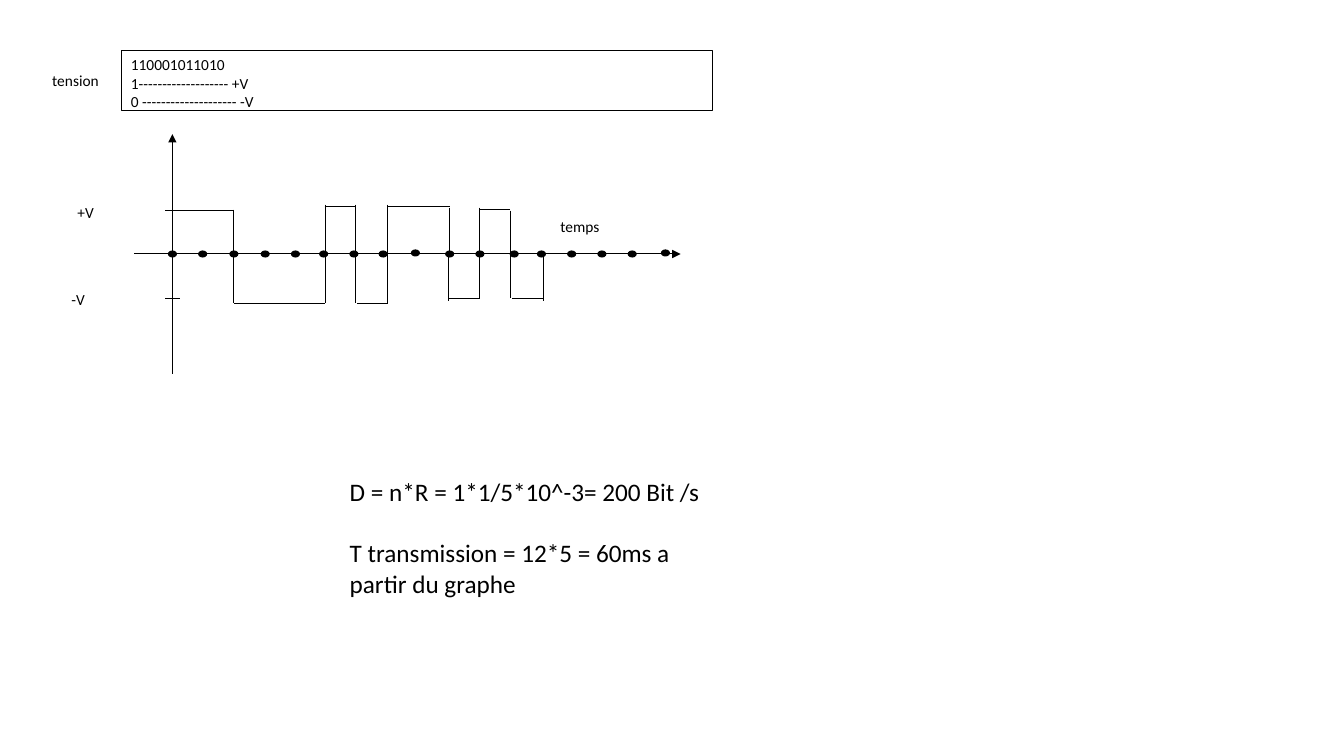
from lxml.etree import SubElement
from pptx import Presentation
from pptx.dml.color import RGBColor
from pptx.enum.shapes import MSO_CONNECTOR as Connector, MSO_SHAPE as Shape
from pptx.enum.text import MSO_ANCHOR as Anchor, PP_ALIGN as Align
from pptx.oxml.ns import qn
from pptx.util import Emu, Pt

PX = 9144  # 100 px to the inch
BLACK, WHITE = "000000", "FFFFFF"
FONT = "Calibri"

CODING = ["110001011010", "1------------------- +V", "0 -------------------- -V"]
RESULTS = ["D = n*R = 1*1/5*10^-3= 200 Bit /s",
           "T transmission = 12*5 = 60ms a partir du graphe"]
# text, left, top, width, height
LABELS = [
    ("-V", 61, 283, 62, 38),
    ("+V", 67, 197, 62, 38),
    ("tension", 42, 66, 77, 31),
    ("temps", 546, 210, 61, 25),
]

# Axes: x1, y1, x2, y2
AXES = [(171, 371, 171, 133), (133, 252, 675, 252)]
TICK_LEFT, TICK_RIGHT = 164, 179
TICK_LEVELS = [209, 296]

# Clock marks: left edges along the time axis
DOT_WIDTH, DOT_HEIGHT, DOT_TOP = 8, 6, 249
DOTS = [167, 197, 228, 259, 289, 317, 347, 376, 408, 442, 472, 506, 533,
        563, 593, 623, 656]
RAISED_DOTS = {408, 656}

# Signal: levels as (y, x1, x2), edges as (x, y1, y2)
LEVELS = [
    (209, 172, 202), (209, 202, 232),
    (301, 232, 263), (301, 262, 292), (301, 292, 322),
    (205, 322, 353), (301, 354, 385),
    (205, 385, 416), (205, 416, 446),
    (296, 445, 476), (208, 476, 506), (296, 508, 539),
]
EDGES = [
    (232, 208, 301), (323, 203, 301), (353, 203, 301), (384, 203, 301),
    (446, 206, 250), (445, 255, 299), (476, 206, 296), (506, 209, 296),
    (539, 253, 299),
]


def color(value):
    return RGBColor.from_string(value)


def px(*lengths):
    return [Emu(length * PX) for length in lengths]


def add_line(x1, y1, x2, y2, arrow=False):
    line = page.shapes.add_connector(Connector.STRAIGHT, *px(x1, y1, x2, y2))
    line.line.color.rgb = color(BLACK)
    line.line.width = Pt(0.75)
    properties = line.line._get_or_add_ln()
    if arrow:
        SubElement(properties, qn("a:tailEnd"), type="triangle")
    SubElement(properties.getparent(), qn("a:effectLst"))


def add_solid(kind, bounds, fill, line_width=None):
    shape = page.shapes.add_shape(kind, *px(*bounds))
    shape.shadow.inherit = False
    shape.fill.solid()
    shape.fill.fore_color.rgb = color(fill)
    if line_width:
        shape.line.color.rgb = color(BLACK)
        shape.line.width = Pt(line_width)
    else:
        shape.line.fill.background()
    return shape


def write(box, lines, size, gap=0):
    frame = box.text_frame
    frame.word_wrap = True
    frame.vertical_anchor = Anchor.TOP
    for index, text in enumerate(lines):
        para = frame.add_paragraph() if index else frame.paragraphs[0]
        para.alignment = Align.LEFT
        para.space_before = Pt(gap if index else 0)
        span = para.add_run()
        span.text = text
        span.font.name = FONT
        span.font.size = Pt(size)
        span.font.color.rgb = color(BLACK)


deck = Presentation()
deck.slide_width, deck.slide_height = px(1333, 750)
page = deck.slides.add_slide(deck.slide_layouts[6])

# Coding rule
write(add_solid(Shape.RECTANGLE, (120, 50, 587, 60), WHITE, 0.5), CODING, 11)

# Axes with level ticks
for axis in AXES:
    add_line(*axis, arrow=True)
for y in TICK_LEVELS:
    add_line(TICK_LEFT, y, TICK_RIGHT, y)

# Signal
for y, x1, x2 in LEVELS:
    add_line(x1, y, x2, y)
for x, y1, y2 in EDGES:
    add_line(x, y1, x, y2)

# Clock marks
for left in DOTS:
    top = DOT_TOP - (left in RAISED_DOTS)
    add_solid(Shape.OVAL, (left, top, DOT_WIDTH, DOT_HEIGHT), BLACK, 0.75)

# Labels
for text, *bounds in LABELS:
    write(page.shapes.add_textbox(*px(*bounds)), [text], 11)

# Results, one line apart
write(page.shapes.add_textbox(*px(337, 468, 369, 131)), RESULTS, 18, gap=22)

deck.save("out.pptx")
